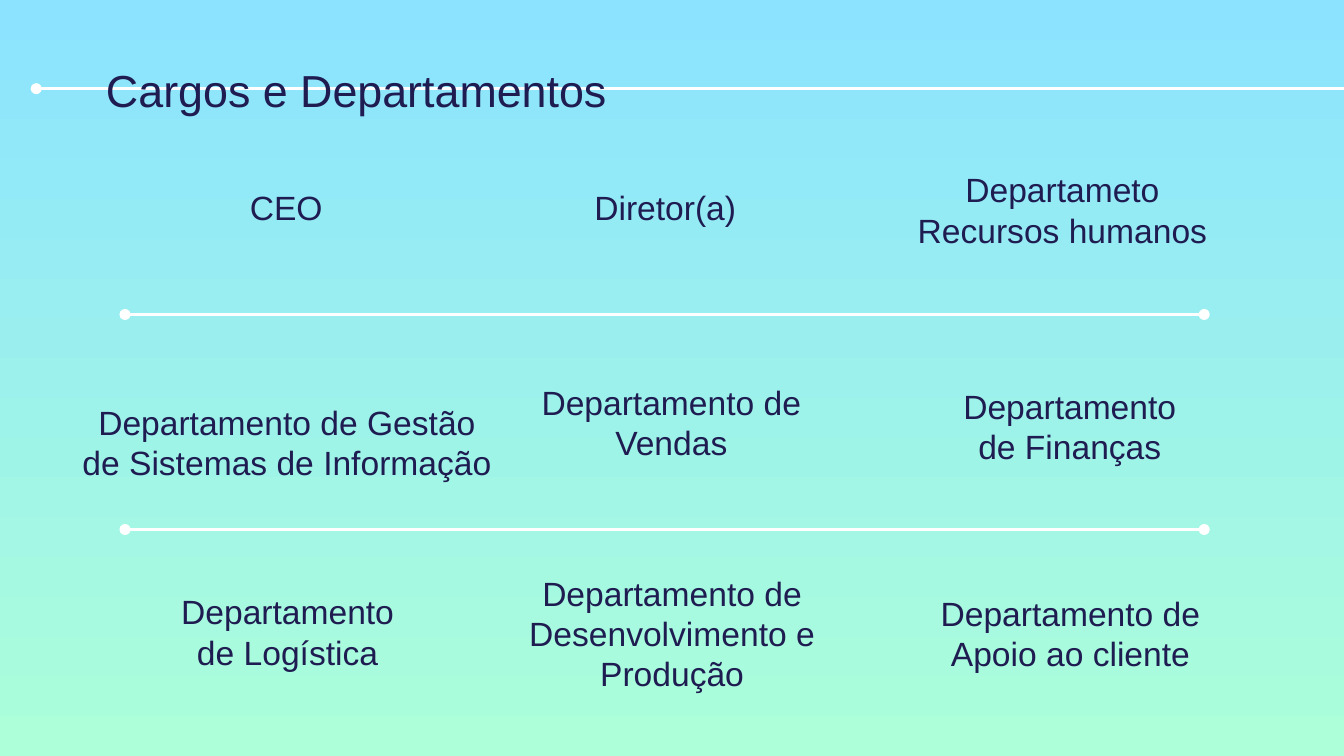
from lxml.etree import SubElement
from pptx import Presentation
from pptx.dml.color import RGBColor
from pptx.enum.shapes import MSO_CONNECTOR
from pptx.enum.text import MSO_ANCHOR, PP_ALIGN
from pptx.oxml.ns import qn
from pptx.util import Inches, Pt

NAVY = "1F1C51"
WHITE = "FFFFFF"
SKY = "8BE3FF"
MINT = "ACFFD9"

DEPARTMENTS = [
    ("CEO", 1.13, 1.27, 2, 0.52),
    ("Diretor(a)", 3.95, 1.27, 2, 0.52),
    ("Departameto Recursos humanos", 6.65, 1.1, 2.51, 0.86),
    ("Departamento de Gestão de Sistemas de Informação", 0.51, 2.63, 3.25, 1.06),
    ("Departamento de Vendas", 3.79, 2.82, 2.41, 0.72),
    ("Departamento de Finanças", 6.96, 2.78, 2, 0.79),
    ("Departamento de Logística", 1.14, 4.23, 2, 0.87),
    ("Departamento de Desenvolvimento e\nProdução", 3.19, 4.11, 3.62, 1.15),
    ("Departamento de Apoio ao cliente", 6.65, 4.23, 2.63, 0.88),
]


def color(value):
    return RGBColor.from_string(value)


def paint_background(slide):
    fill = slide.background.fill
    fill.gradient()
    fill.gradient_angle = 270
    for stop, shade, position in zip(fill.gradient_stops, (SKY, MINT), (0, 1)):
        stop.color.rgb = color(shade)
        stop.position = position


def add_label(slide, text, left, top, width, height, size=18,
              align=PP_ALIGN.CENTER, anchor=MSO_ANCHOR.BOTTOM):
    label = slide.shapes.add_textbox(
        Inches(left), Inches(top), Inches(width), Inches(height))
    frame = label.text_frame
    frame.word_wrap = True
    frame.vertical_anchor = anchor
    frame.margin_left = frame.margin_right = Inches(0.1)
    frame.margin_top = frame.margin_bottom = Inches(0.1)
    frame.text = text
    for paragraph in frame.paragraphs:
        paragraph.alignment = align
        for run in paragraph.runs:
            run.font.name = "Arial"
            run.font.size = Pt(size)
            run.font.color.rgb = color(NAVY)


def add_rule(slide, left, right, y, dotted_ends):
    rule = slide.shapes.add_connector(
        MSO_CONNECTOR.STRAIGHT, Inches(left), Inches(y), Inches(right), Inches(y))
    rule.line.color.rgb = color(WHITE)
    rule.line.width = Pt(1.5)
    outline = rule.line._get_or_add_ln()
    for end in dotted_ends:
        SubElement(outline, qn(f"a:{end}")).set("type", "oval")
    SubElement(rule._element.spPr, qn("a:effectLst"))


def main():
    deck = Presentation()
    deck.slide_width = Inches(10)
    deck.slide_height = Inches(10) * 9 // 16
    slide = deck.slides.add_slide(deck.slide_layouts[6])

    paint_background(slide)
    add_rule(slide, 0.27, 10.1, 0.66, ["headEnd"])
    add_label(slide, "Cargos e Departamentos", 0.69, 0.37, 6.65, 0.59,
              size=24, align=PP_ALIGN.LEFT, anchor=MSO_ANCHOR.TOP)
    for y in (2.34, 3.94):
        add_rule(slide, 0.93, 8.96, y, ["headEnd", "tailEnd"])
    for department in DEPARTMENTS:
        add_label(slide, *department)

    deck.save("out.pptx")


main()
